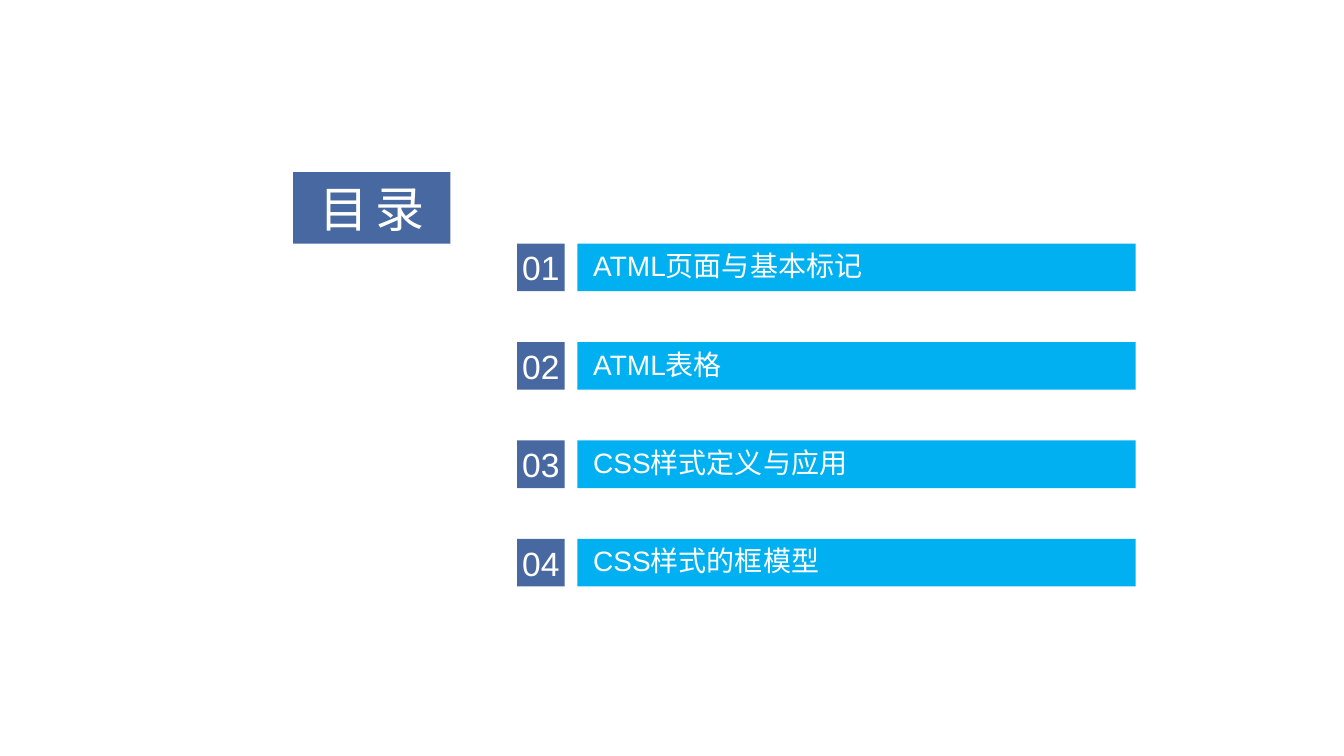
import dataclasses

import lxml.etree
import pptx
import pptx.dml.color
import pptx.enum.shapes
import pptx.enum.text
import pptx.oxml.ns
import pptx.util

Cm = pptx.util.Cm
Align = pptx.enum.text.PP_ALIGN


@dataclasses.dataclass(frozen=True)
class Theme:
    font: str = "Arial"
    white: str = "FFFFFF"
    navy: str = "4868A2"
    sky: str = "00B0F0"
    title_size: int = 35
    number_size: int = 24
    topic_size: int = 20


TOPICS = ["ATML页面与基本标记", "ATML表格", "CSS样式定义与应用", "CSS样式的框模型"]
FIRST_TOP, ROW_PITCH, ROW_HEIGHT = 6.14, 2.48, 1.2
NUMBER_LEFT, TOPIC_LEFT, TOPIC_WIDTH = 13.03, 14.55, 14.07


def write_text(shape, text, *, font, size, color, align=Align.CENTER,
               insets=(0, 0, 0, 0), spacing=None):
    """Fill the shape with one line; insets are left, top, right, bottom in cm, spacing in points."""
    frame = shape.text_frame
    frame.word_wrap = True
    frame.vertical_anchor = pptx.enum.text.MSO_ANCHOR.MIDDLE
    (frame.margin_left, frame.margin_top,
     frame.margin_right, frame.margin_bottom) = map(Cm, insets)
    paragraph = frame.paragraphs[0]
    paragraph.alignment = align
    run = paragraph.add_run()
    run.text = text
    run.font.name = font
    run.font.size = pptx.util.Pt(size)
    run.font.color.rgb = pptx.dml.color.RGBColor.from_string(color)
    if spacing is not None:
        run.font._element.set("spc", str(spacing * 100))


class ContentsSlide:
    def __init__(self, slide, theme):
        self.slide = slide
        self.theme = theme

    def block(self, left, top, width, height, color, shapes=None, opacity=None):
        """Draw a plain rectangle, inside a group's shapes if given; opacity is in percent."""
        target = self.slide.shapes if shapes is None else shapes
        rectangle = target.add_shape(pptx.enum.shapes.MSO_SHAPE.RECTANGLE,
                                     Cm(left), Cm(top), Cm(width), Cm(height))
        rectangle.shadow.inherit = False
        rectangle.fill.solid()
        rectangle.fill.fore_color.rgb = pptx.dml.color.RGBColor.from_string(color)
        rectangle.line.fill.background()
        if opacity is not None:
            rgb = rectangle._element.spPr.find(".//" + pptx.oxml.ns.qn("a:srgbClr"))
            alpha = lxml.etree.SubElement(rgb, pptx.oxml.ns.qn("a:alpha"))
            alpha.set("val", str(opacity * 1000))
        return rectangle

    def panel(self):
        self.block(1.04, 2.16, 31.67, 15.27, self.theme.white, opacity=80)

    def title(self, text):
        style = self.theme
        heading = self.block(7.39, 4.34, 3.96, 1.8, style.navy)
        write_text(heading, text, font=style.font, size=style.title_size,
                   color=style.white, insets=(0.25, 0.13, 0.25, 0.13), spacing=5)

    def topic_row(self, index, topic):
        style = self.theme
        top = FIRST_TOP + index * ROW_PITCH
        row = self.slide.shapes.add_group_shape().shapes
        number = self.block(NUMBER_LEFT, top, ROW_HEIGHT, ROW_HEIGHT, style.navy, row)
        write_text(number, f"{index + 1:02}", font=style.font,
                   size=style.number_size, color=style.white)
        bar = self.block(TOPIC_LEFT, top, TOPIC_WIDTH, ROW_HEIGHT, style.sky, row)
        write_text(bar, topic, font=style.font, size=style.topic_size,
                   color=style.white, align=Align.LEFT, insets=(0.4, 0, 0, 0.1))


def main():
    presentation = pptx.Presentation()
    presentation.slide_width = Cm(33.87)
    presentation.slide_height = Cm(19.05)
    blank = presentation.slide_layouts[6]
    contents = ContentsSlide(presentation.slides.add_slide(blank), Theme())
    contents.panel()
    contents.title("目录")
    for index, topic in enumerate(TOPICS):
        contents.topic_row(index, topic)
    presentation.save("out.pptx")


if __name__ == "__main__":
    main()
